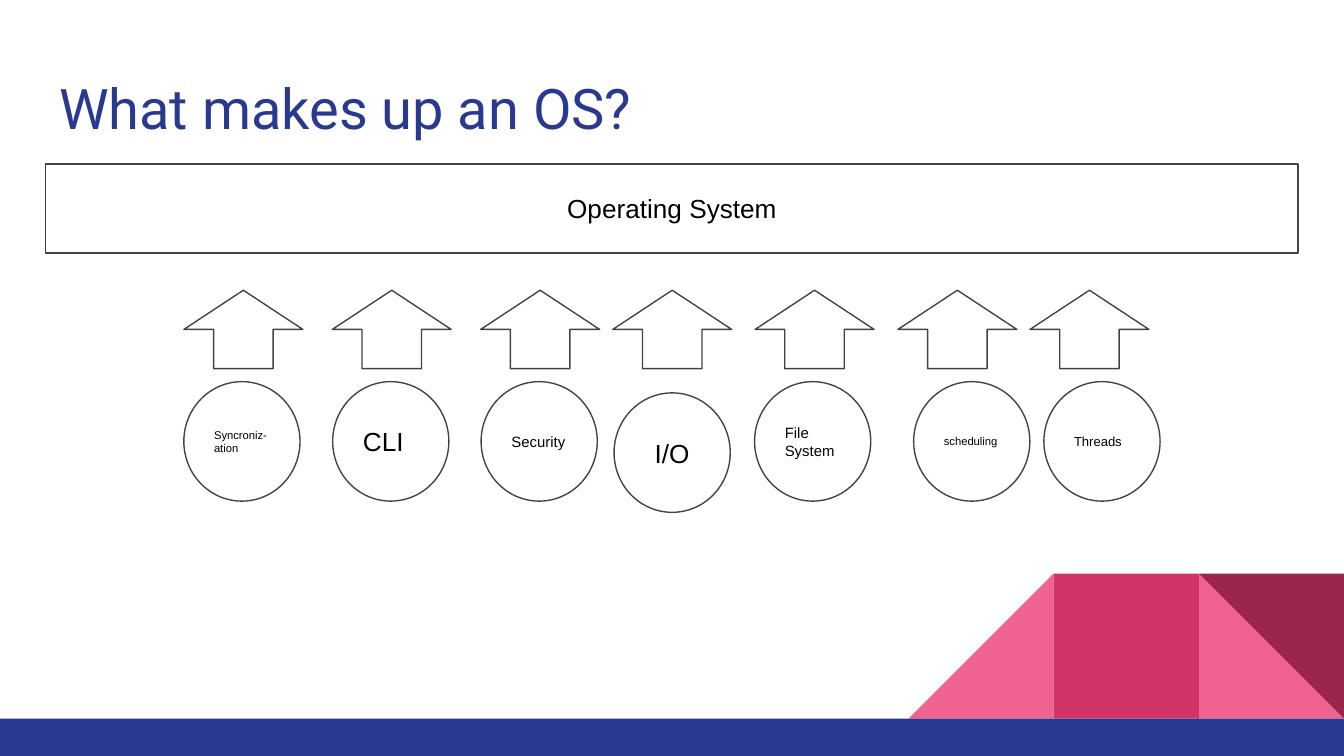
import pptx
import pptx.dml.color
import pptx.enum.shapes
import pptx.enum.text
import pptx.util

Pt = pptx.util.Pt
SHAPE = pptx.enum.shapes.MSO_SHAPE
ALIGN = pptx.enum.text.PP_ALIGN
ANCHOR = pptx.enum.text.MSO_ANCHOR


def rgb(value):
    return pptx.dml.color.RGBColor.from_string(value)


def add_part(kind, left, top, width, height, fill=None, label="", size=14, align=ALIGN.LEFT):
    """Add a filled, unlined shape, or an outlined one when fill is None."""
    part = slide.shapes.add_shape(kind, Pt(left), Pt(top), Pt(width), Pt(height))
    part.shadow.inherit = False
    if fill:
        part.fill.solid()
        part.fill.fore_color.rgb = rgb(fill)
        part.line.fill.background()
    else:
        part.fill.background()
        part.line.color.rgb = rgb("434343")
        part.line.width = Pt(0.75)
    if label:
        frame = part.text_frame
        frame.text = label
        frame.word_wrap = True
        frame.vertical_anchor = ANCHOR.MIDDLE
        frame.margin_left = frame.margin_right = Pt(7.2)
        frame.margin_top = frame.margin_bottom = Pt(7.2)
        paragraph = frame.paragraphs[0]
        paragraph.alignment = align
        paragraph.font.name = "Arial"
        paragraph.font.size = Pt(size)
        paragraph.font.color.rgb = rgb("000000")
    return part


presentation = pptx.Presentation()
presentation.slide_width = Pt(720)
presentation.slide_height = Pt(405)
slide = presentation.slides.add_slide(presentation.slide_layouts[5])

# Corner decoration and footer band
tile = 77.75
band_top = 385
tile_top = band_top - tile
tile_lefts = [720 - tile * count for count in (3, 2, 1)]
add_part(SHAPE.RIGHT_TRIANGLE, tile_lefts[2], tile_top, tile, tile, "F06292")
left_slope = add_part(SHAPE.RIGHT_TRIANGLE, tile_lefts[0], tile_top, tile, tile, "F06292")
left_slope.rotation = 270  # puts the right angle at the lower right
add_part(SHAPE.RECTANGLE, tile_lefts[1], tile_top, tile, tile, "D23369")
dark_corner = add_part(SHAPE.RIGHT_TRIANGLE, tile_lefts[2], tile_top, tile, tile, "9C254D")
dark_corner.rotation = 180
add_part(SHAPE.RECTANGLE, 0, band_top, 720, 20, "2A3990")

# Title
title = slide.shapes.title
title.left, title.top, title.width, title.height = Pt(24.5), Pt(32.4), Pt(671), Pt(47.5)
title_frame = title.text_frame
title_frame.text = "What makes up an OS?"
title_frame.word_wrap = True
title_frame.auto_size = pptx.enum.text.MSO_AUTO_SIZE.NONE
title_frame.vertical_anchor = ANCHOR.TOP
title_frame.margin_left = title_frame.margin_right = Pt(7.2)
title_frame.margin_top = title_frame.margin_bottom = Pt(7.2)
heading = title_frame.paragraphs[0]
heading.alignment = ALIGN.LEFT
heading.font.name = "Roboto"
heading.font.size = Pt(30)
heading.font.color.rgb = rgb("2A3990")

# Operating system, fed by its components
add_part(SHAPE.RECTANGLE, 24.5, 87.75, 671, 47.75, None, "Operating System", 14, ALIGN.CENTER)

# label, text size, alignment, arrow left, circle left, circle top
components = [
    ("Syncroniz-ation", 6, ALIGN.LEFT, 98.5, 98.5, 204.5),
    ("CLI", 14, ALIGN.LEFT, 178, 178.25, 204.5),
    ("Security", 8, ALIGN.LEFT, 257.5, 257.75, 204.5),
    ("I/O", 14, ALIGN.CENTER, 328.25, 329, 210.5),
    ("File System", 8, ALIGN.LEFT, 404.5, 404.25, 204.5),
    ("scheduling", 6, ALIGN.LEFT, 481, 489.5, 204.5),
    ("Threads", 7, ALIGN.LEFT, 551.75, 559.25, 204.5),
]
for label, size, align, arrow_left, circle_left, circle_top in components:
    add_part(SHAPE.UP_ARROW, arrow_left, 155.5, 63.75, 42)
    add_part(SHAPE.OVAL, circle_left, circle_top, 62.25, 64, None, label, size, align)

presentation.save("out.pptx")
